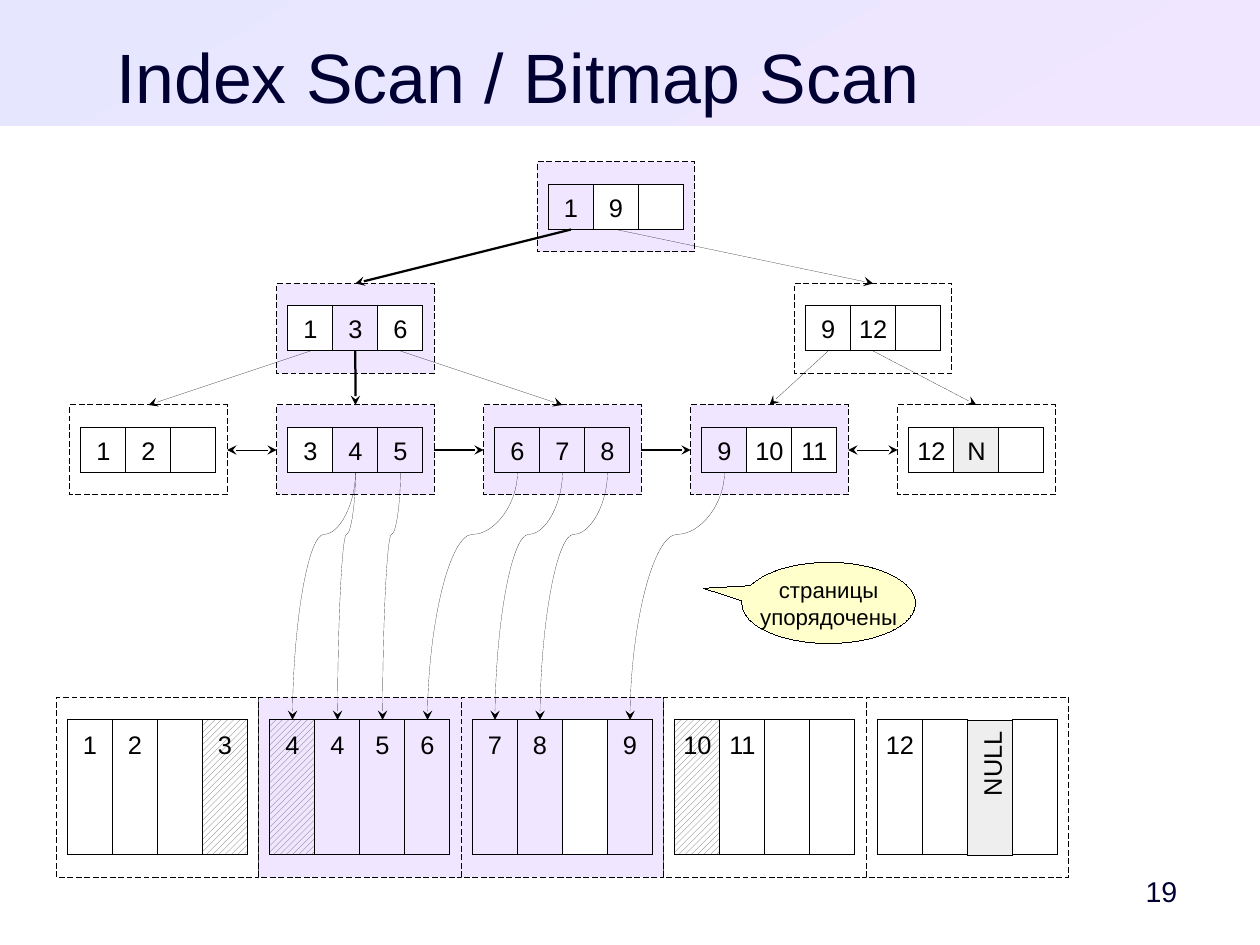
from lxml.etree import SubElement
from pptx import Presentation
from pptx.dml.color import RGBColor as RGB
from pptx.enum.dml import MSO_LINE as Dash, MSO_PATTERN as Hatch
from pptx.enum.shapes import MSO_CONNECTOR as Link, MSO_SHAPE as Form
from pptx.enum.text import MSO_ANCHOR as Anchor, PP_ALIGN as Align
from pptx.oxml.ns import qn
from pptx.util import Inches, Pt

HUES = {"ink": "000000", "navy": "000033", "white": "FFFFFF", "blue": "E6E6FF",
        "lilac": "F0E6FF", "gray": "EEEEEE", "hatch": "666666", "cream": "FFFFCC"}
MARKS = {".": "white", "V": "lilac", "N": "gray", "/": "hatch"}

# The drawing sits on a one-centimetre grid: one key cell is 1 cm wide
CELL = 1 / 2.54
SLIDE_W, SLIDE_H = 28 * CELL, 21 * CELL
NODE_W, NODE_H = 3.5 * CELL, 2 * CELL
PAGE_W, PAGE_H = 4.5 * CELL, 4 * CELL
PAD_X, PAD_Y = CELL / 4, CELL / 2
TOPS = [3.6 * CELL, 6.3 * CELL, 9 * CELL]
PAGE_X, PAGE_Y = 1.25 * CELL, 15.5 * CELL
LEAF_X, LEAF_STEP = 1.55 * CELL, 4.6 * CELL
HAIR = 0.01

# Each node or page: keys, one mark per cell, fill of the outer box
ROOT = (["1", "9", ""], "V..", "lilac")
INNER = [(["1", "3", "6"], ".V.", "lilac"), (["9", "12", ""], "...", "white")]
LEAVES = [(["1", "2", ""], "...", "white"),
          (["3", "4", "5"], ".VV", "lilac"),
          (["6", "7", "8"], "VVV", "lilac"),
          (["9", "10", "11"], "V..", "lilac"),
          (["12", "N", ""], ".N.", "white")]
PAGES = [(["1", "2", "", "3"], ".../", "white"),
         (["4", "4", "5", "6"], "/VVV", "lilac"),
         (["7", "8", "", "9"], "VV.V", "lilac"),
         (["10", "11", "", ""], "/...", "white"),
         (["12", "", "NULL", ""], "..N.", "white")]

# Node place is (left, level)
TOP = (4.7, 0)
MIDS = [(2.42, 1), (6.95, 1)]
ENDS = [(LEAF_X + LEAF_STEP * i, 2) for i in range(len(LEAVES))]
# Parent, key index, child, on the search path
BRANCHES = [(TOP, 0, MIDS[0], True), (TOP, 1, MIDS[1], False),
            (MIDS[0], 0, ENDS[0], False), (MIDS[0], 1, ENDS[1], True),
            (MIDS[0], 2, ENDS[2], False), (MIDS[1], 0, ENDS[3], False),
            (MIDS[1], 1, ENDS[4], False)]
# Leaf, key index, page, slot
ROWS = [(1, 1, 1, 0), (1, 1, 1, 1), (1, 2, 1, 2), (2, 0, 1, 3),
        (2, 1, 2, 0), (2, 2, 2, 1), (3, 0, 2, 3)]


def hue(name):
    return RGB.from_string(HUES[name])


def inch(*nums):
    return [Inches(n) for n in nums]


def apply(item, vals):
    for name, val in vals.items():
        setattr(item, name, val)


def write(shape, text, size=16, color="ink", align=Align.CENTER,
          anchor=Anchor.MIDDLE, pads=(0.1, 0.05, 0.1, 0.05), wrap=False):
    frame = shape.text_frame
    frame.text = text
    left, top, right, bottom = inch(*pads)
    apply(frame, {"word_wrap": wrap, "vertical_anchor": anchor,
                  "margin_left": left, "margin_top": top,
                  "margin_right": right, "margin_bottom": bottom})
    for para in frame.paragraphs:
        para.alignment = align
        apply(para.font, {"size": Pt(size), "name": "Arial", "bold": False})
        para.font.color.rgb = hue(color)


def draw(slide, box, fill, form=Form.RECTANGLE, back="white"):
    """Add a hairline shape; a hatch shows the back colour between strokes."""
    shape = slide.shapes.add_shape(form, *inch(*box))
    shape.shadow.inherit = False
    if fill == "hatch":
        shape.fill.patterned()
        shape.fill.pattern = Hatch.WIDE_UPWARD_DIAGONAL
        shape.fill.fore_color.rgb = hue("hatch")
        shape.fill.back_color.rgb = hue(back)
    else:
        shape.fill.solid()
        shape.fill.fore_color.rgb = hue(fill)
    shape.line.color.rgb = hue("ink")
    shape.line.width = Pt(HAIR)
    return shape


def frame_box(slide, box, fill):
    draw(slide, box, fill).line.dash_style = Dash.DASH


def add_node(slide, place, data):
    left, level = place
    keys, marks, fill = data
    top = TOPS[level]
    frame_box(slide, (left, top, NODE_W, NODE_H), fill)
    for i, (key, mark) in enumerate(zip(keys, marks)):
        cell = draw(slide, (left + PAD_X + i * CELL, top + PAD_Y, CELL, CELL),
                    MARKS[mark])
        if key:
            write(cell, key)


def add_page(slide, num, data):
    keys, marks, fill = data
    left, tall = PAGE_X + num * PAGE_W, 3 * CELL
    frame_box(slide, (left, PAGE_Y, PAGE_W, PAGE_H), fill)
    for i, (key, mark) in enumerate(zip(keys, marks)):
        x, y = left + PAD_X + i * CELL, PAGE_Y + PAD_Y
        turned = key == "NULL"
        box = (x - CELL, y + CELL, tall, CELL) if turned else (x, y, CELL, tall)
        cell = draw(slide, box, MARKS[mark], back=fill)
        if turned:
            cell.rotation = 270
        if key:
            write(cell, key, anchor=Anchor.TOP, pads=(0.1, 0.08, 0.1, 0.05),
                  align=Align.RIGHT if turned else Align.CENTER)


def add_arrow(slide, start, end, bold=False, both=False, kind=Link.STRAIGHT):
    line = slide.shapes.add_connector(kind, *inch(*start, *end))
    line.line.color.rgb = hue("ink")
    line.line.width = Pt(1.42 if bold else HAIR)
    props = line._element.spPr
    for tag in ["headEnd", "tailEnd"] if both else ["tailEnd"]:
        SubElement(props.find(qn("a:ln")), qn("a:" + tag), type="stealth")
    SubElement(props, qn("a:effectLst"))
    return props


def add_curve(slide, start, end):
    """Draw a downward S-curve as a level one turned by 90 degrees."""
    mid_x, mid_y = (start[0] + end[0]) / 2, (start[1] + end[1]) / 2
    run, rise = (end[1] - start[1]) / 2, (start[0] - end[0]) / 2
    props = add_arrow(slide, (mid_x - run, mid_y - rise),
                      (mid_x + run, mid_y + rise), kind=Link.CURVE)
    props.find(qn("a:xfrm")).set("rot", "5400000")
    guides = props.find(qn("a:prstGeom")).find(qn("a:avLst"))
    SubElement(guides, qn("a:gd"), name="adj1", fmla="val 25000")


def key_foot(place, i):
    left, level = place
    return left + PAD_X + (i + 0.5) * CELL, TOPS[level] + PAD_Y + CELL


def add_head(slide):
    title = slide.shapes.title
    apply(title, dict(zip(["left", "top", "width", "height"],
                          inch(0.47, 0.29, 8.13, 0.81))))
    write(title, "Index Scan / Bitmap Scan", 44, "navy", anchor=Anchor.TOP,
          pads=(0, 0, 0, 0), wrap=True)
    band = draw(slide, (0, 0, SLIDE_W, 1.1), "blue")
    band.line.fill.background()
    band.fill.gradient()
    band.fill.gradient_angle = 300
    for stop, name in zip(band.fill.gradient_stops, ["blue", "lilac"]):
        stop.color.rgb = hue(name)
    title._element.addprevious(band._element)
    num = slide.shapes.add_textbox(*inch(9.69, 7.56, 0.87, 0.47))
    write(num, "19", 18, "navy", Align.RIGHT, pads=(0.1, 0.05, 0.26, 0.05),
          wrap=True)


def main():
    deck = Presentation()
    deck.slide_width, deck.slide_height = inch(SLIDE_W, SLIDE_H)
    slide = deck.slides.add_slide(deck.slide_layouts[5])
    add_head(slide)
    for num, page in enumerate(PAGES):
        add_page(slide, num, page)
    for place, node in zip([TOP, *MIDS, *ENDS], [ROOT, *INNER, *LEAVES]):
        add_node(slide, place, node)

    for place, key, (left, level), bold in BRANCHES:
        add_arrow(slide, key_foot(place, key),
                  (left + NODE_W / 2, TOPS[level]), bold)
    mid = TOPS[2] + NODE_H / 2
    for i, bold in enumerate([False, True, True, False]):
        add_arrow(slide, (ENDS[i][0] + NODE_W, mid), (ENDS[i + 1][0], mid),
                  bold, both=not bold)
    for leaf, key, page, slot in ROWS:
        x = PAGE_X + page * PAGE_W + PAD_X + (slot + 0.5) * CELL
        add_curve(slide, key_foot(ENDS[leaf], key), (x, PAGE_Y + PAD_Y))

    note = draw(slide, (6.49, 4.92, 1.52, 0.71), "cream", Form.OVAL_CALLOUT)
    note.adjustments[0], note.adjustments[1] = -0.72, -0.18
    write(note, "страницы\nупорядочены", 14)
    deck.save("out.pptx")


if __name__ == "__main__":
    main()
